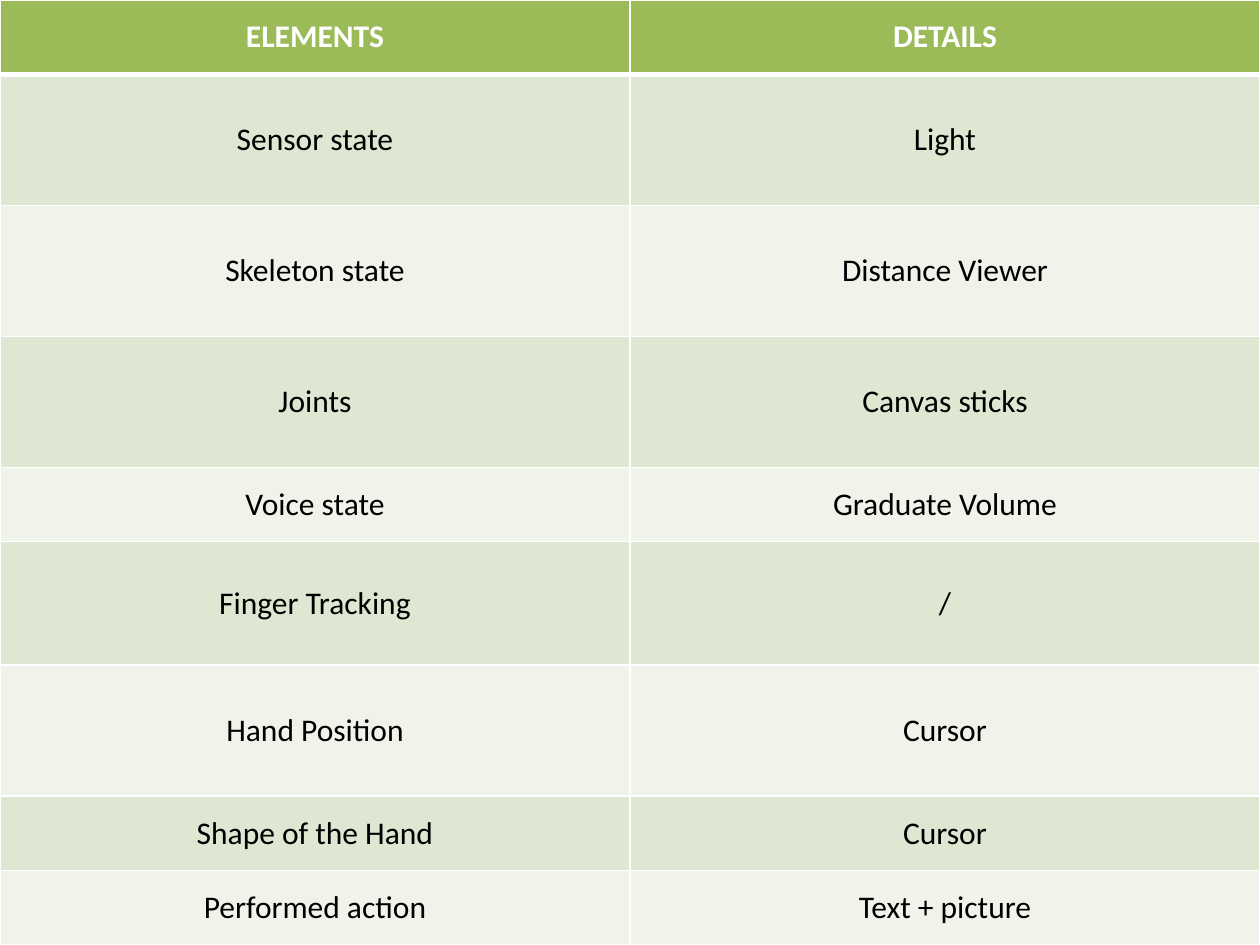
from lxml.etree import SubElement as Sub
from pptx import Presentation
from pptx.dml.color import RGBColor as RGB
from pptx.enum.text import MSO_ANCHOR as Anchor, PP_ALIGN as Align
from pptx.oxml.ns import qn
from pptx.util import Inches, Pt

WHITE = RGB(0xFF, 0xFF, 0xFF)
BLACK = RGB(0x00, 0x00, 0x00)
GREEN = RGB(0x9B, 0xBB, 0x59)
BANDS = [RGB(0xDE, 0xE7, 0xD1), RGB(0xEF, 0xF3, 0xEA)]

LOW, MID, HIGH = 0.59, 0.98, 1.04
ROWS = [
    (LOW, "ELEMENTS", "DETAILS"),
    (HIGH, "Sensor state", "Light"),
    (HIGH, "Skeleton state", "Distance Viewer"),
    (HIGH, "Joints", "Canvas sticks"),
    (LOW, "Voice state", "Graduate Volume"),
    (MID, "Finger Tracking", "/"),
    (HIGH, "Hand Position", "Cursor"),
    (LOW, "Shape of the Hand", "Cursor"),
    (LOW, "Performed action", "Text + picture"),
]


def put_text(frame, text, size=18, color=BLACK, bold=False, font="Calibri"):
    """Write one centred, formatted line into a text frame."""
    par = frame.paragraphs[0]
    par.alignment = Align.CENTER
    run = par.add_run()
    run.text = text
    run.font.name, run.font.size, run.font.bold = font, Pt(size), bold
    run.font.color.rgb = color


def rule_cell(cell, top=1, base=1):
    """Draw white rules on the four sides of a cell."""
    props = cell._tc.get_or_add_tcPr()
    for side, width in zip("LRTB", (1, 1, top, base)):
        line = Sub(props, qn(f"a:ln{side}"), w=str(Pt(width)))
        fill = Sub(line, qn("a:solidFill"))
        Sub(fill, qn("a:srgbClr"), val=str(WHITE))


def add_grid(slide, box, rows):
    """Fill the box with a table: a header row, then banded rows."""
    left, top, width, height = box
    cols = len(rows[0]) - 1
    grid = slide.shapes.add_table(len(rows), cols, left, top, width, height).table
    total = sum(row[0] for row in rows)
    for col in grid.columns:
        col.width = width // cols
    for i, (share, *texts) in enumerate(rows):
        head = i == 0
        grid.rows[i].height = int(height * share / total)
        for cell, text in zip(grid.rows[i].cells, texts):
            rule_cell(cell, top=3 if i == 1 else 1, base=3 if head else 1)
            cell.fill.solid()
            cell.fill.fore_color.rgb = GREEN if head else BANDS[(i - 1) % 2]
            cell.vertical_anchor = Anchor.MIDDLE
            put_text(cell.text_frame, text, bold=head,
                     color=WHITE if head else BLACK)


deck = Presentation()
deck.slide_width, deck.slide_height = Inches(10), Inches(7.5)
page = deck.slides.add_slide(deck.slide_layouts[6])
add_grid(page, (0, 0, deck.slide_width, deck.slide_height), ROWS)
deck.save("out.pptx")
